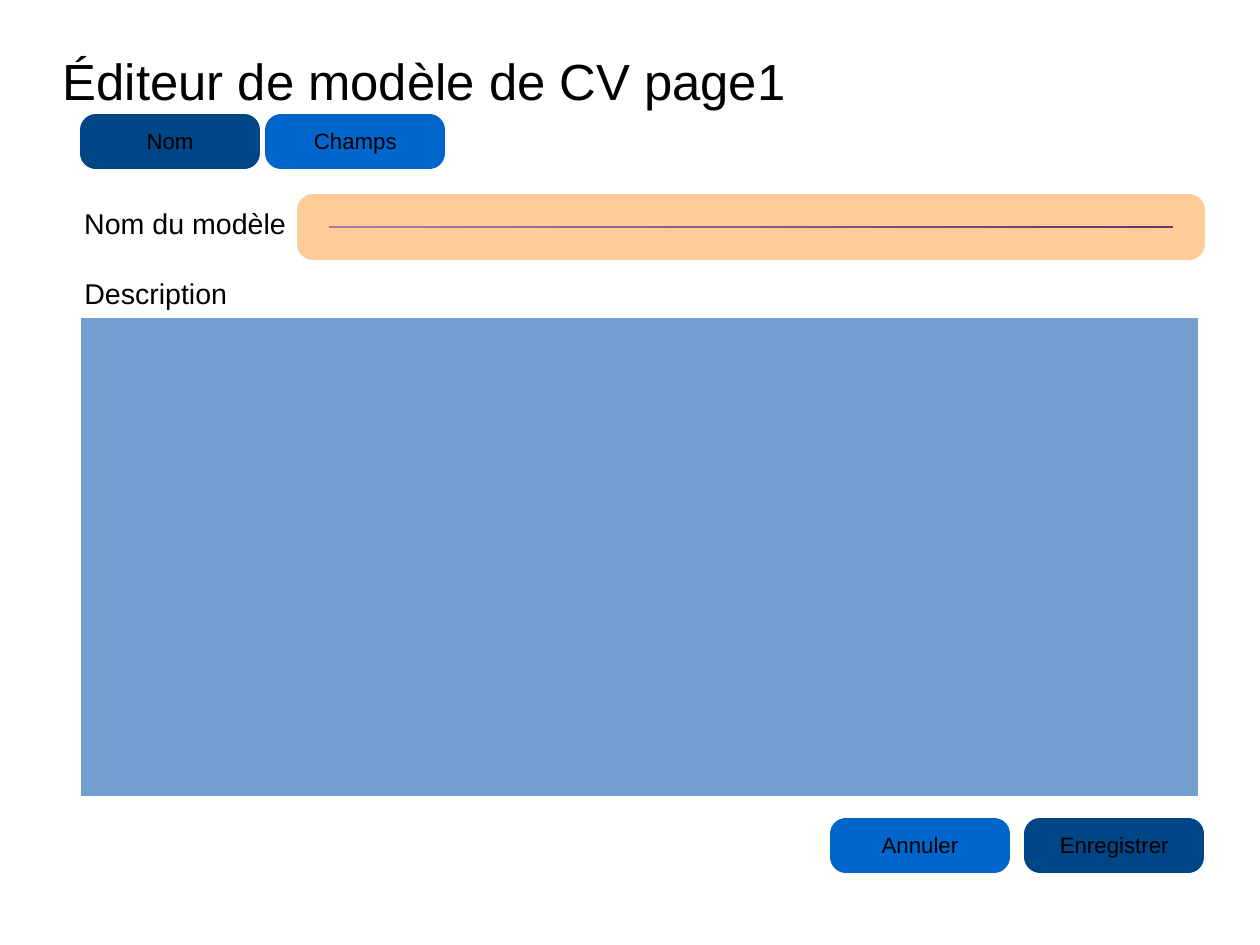
from dataclasses import dataclass

from lxml.etree import SubElement
from pptx import Presentation
from pptx.dml.color import RGBColor
from pptx.enum.shapes import MSO_SHAPE
from pptx.enum.text import MSO_ANCHOR, MSO_AUTO_SIZE, PP_ALIGN
from pptx.oxml.ns import qn
from pptx.util import Pt


@dataclass(frozen=True)
class Theme:
    font: str = "Arial"
    ink: str = "000000"
    paper: str = "FFFFFF"
    panel: str = "729FCF"
    dark: str = "004586"
    blue: str = "0066CC"
    peach: str = "FFCC99"
    fade: tuple = ("AD7FA8", "5C3566")
    title: int = 32
    label: int = 18
    button: int = 14
    rim: float = 20.15
    thin: float = 0.75


THEME = Theme()


def color(code):
    return RGBColor.from_string(code)


def write(shape, text, size, insets, align=PP_ALIGN.LEFT,
          anchor=MSO_ANCHOR.MIDDLE, wrap=False):
    frame = shape.text_frame
    frame.text = text
    frame.word_wrap = wrap
    frame.auto_size = MSO_AUTO_SIZE.NONE
    frame.vertical_anchor = anchor
    (frame.margin_left, frame.margin_top,
     frame.margin_right, frame.margin_bottom) = map(Pt, insets)
    para = frame.paragraphs[0]
    para.alignment = align
    para.line_spacing = 0.94
    font = para.runs[0].font
    font.name = THEME.font
    font.size = Pt(size)
    font.color.rgb = color(THEME.ink)


def add_title(slide, text, box):
    title = slide.shapes.title
    title.left, title.top, title.width, title.height = map(Pt, box)
    write(title, text, THEME.title, (0, 2, 0, 0), wrap=True)


def add_box(slide, box, edge, width):
    shape = slide.shapes.add_shape(MSO_SHAPE.RECTANGLE, *map(Pt, box))
    shape.shadow.inherit = False
    shape.line.color.rgb = color(edge)
    shape.line.width = Pt(width)
    return shape


def add_panel(slide, box):
    panel = add_box(slide, box, THEME.paper, THEME.thin)
    panel.fill.solid()
    panel.fill.fore_color.rgb = color(THEME.panel)


def add_field(slide, box, edge):
    """A thin faded bar inside a wide rim with round corners."""
    field = add_box(slide, box, edge, THEME.rim)
    field.fill.gradient()
    field.fill.gradient_angle = 300
    for stop, code, place in zip(field.fill.gradient_stops, THEME.fade, (0, 1)):
        stop.color.rgb = color(code)
        stop.position = place
    SubElement(field.element.spPr.find(qn("a:ln")), qn("a:round"))
    return field


def add_button(slide, text, left, top, edge):
    button = add_field(slide, (left, top, 93.5, 14.2), edge)
    write(button, text, THEME.button, (17, 0.7, 17, 0), PP_ALIGN.CENTER)


def add_label(slide, text, top, width):
    label = slide.shapes.add_textbox(Pt(36), Pt(top), Pt(width), Pt(47.5))
    write(label, text, THEME.label, (17.1, 14.2, 17, 13.9),
          anchor=MSO_ANCHOR.TOP)


def main():
    deck = Presentation()
    deck.slide_width, deck.slide_height = Pt(793.7), Pt(595.28)
    slide = deck.slides.add_slide(deck.slide_layouts[5])

    # Heading and description area
    add_title(slide, "Éditeur de modèle de CV page1", (39.6, 23.8, 714.2, 55.4))
    add_panel(slide, (50.4, 199.9, 704.6, 302.2))

    # Tabs on top, actions below
    for text, left, top, edge in (
        ("Nom", 60.4, 82.1, THEME.dark),
        ("Champs", 177.1, 82.1, THEME.blue),
        ("Enregistrer", 655.2, 525.4, THEME.dark),
        ("Annuler", 532.8, 525.4, THEME.blue),
    ):
        add_button(slide, text, left, top, edge)

    # Name entry and labels
    add_field(slide, (197.3, 132.4, 551.5, 21.3), THEME.peach)
    add_label(slide, "Nom du modèle", 117, 161.3)
    add_label(slide, "Description", 161.6, 123.8)

    deck.save("out.pptx")


if __name__ == "__main__":
    main()
